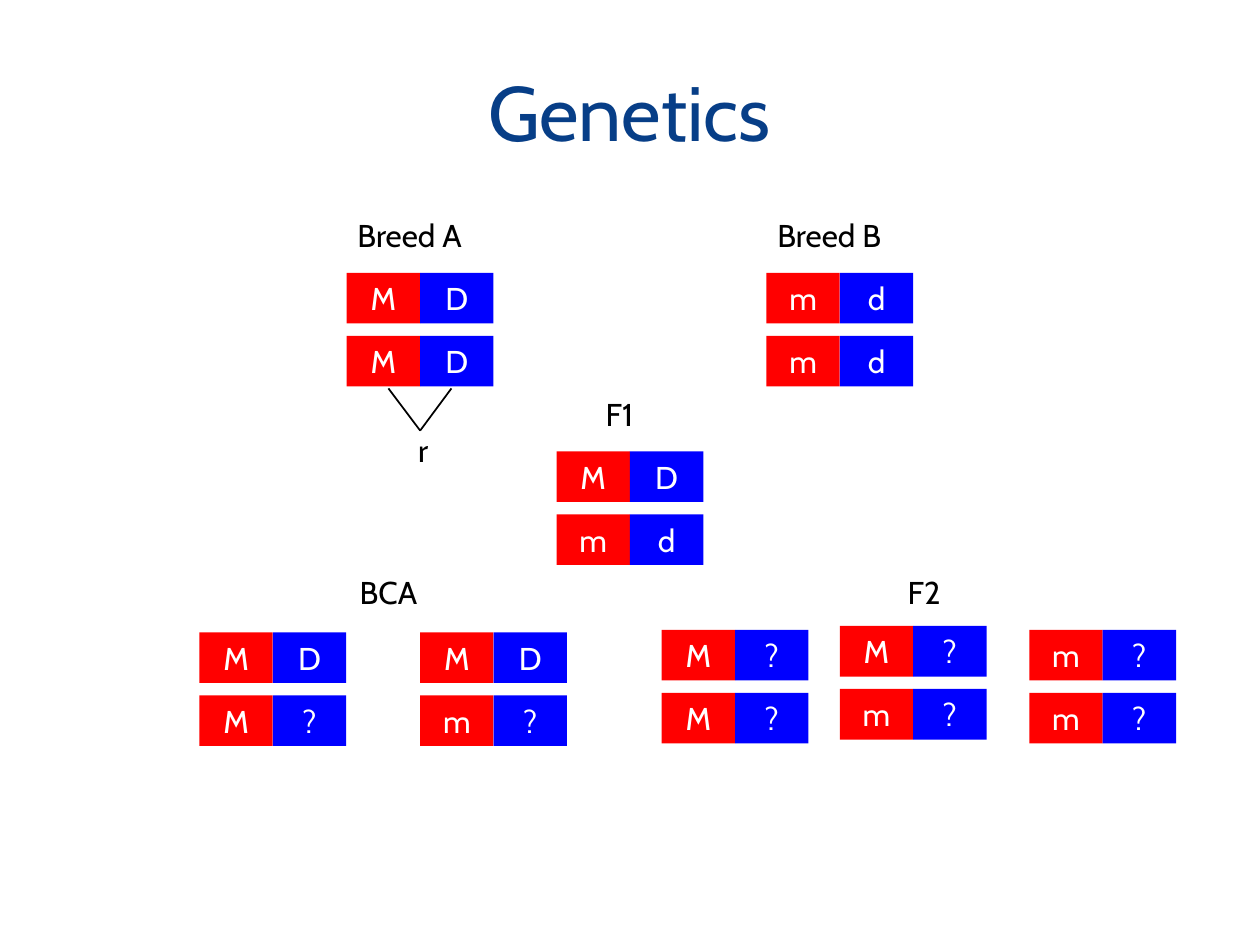
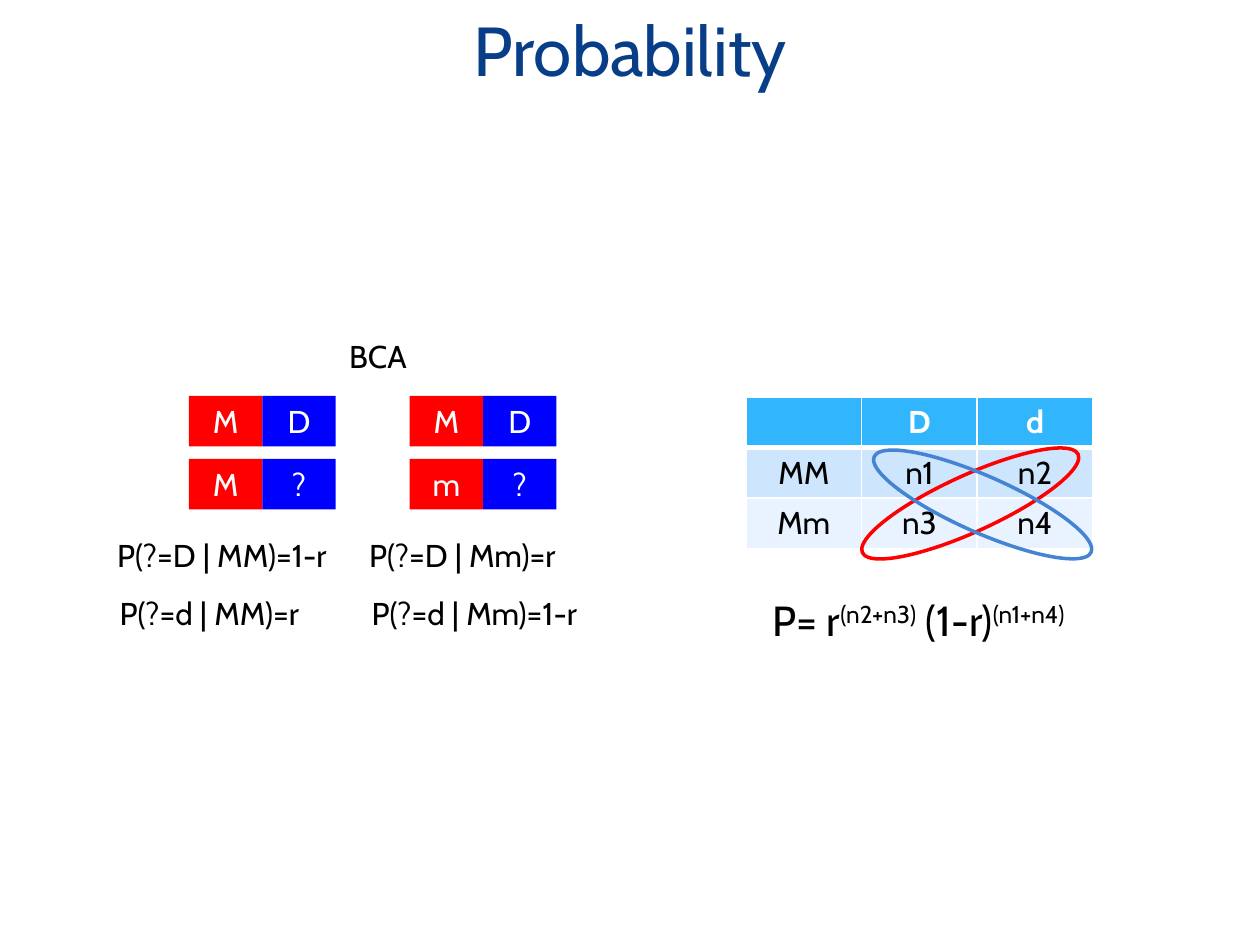
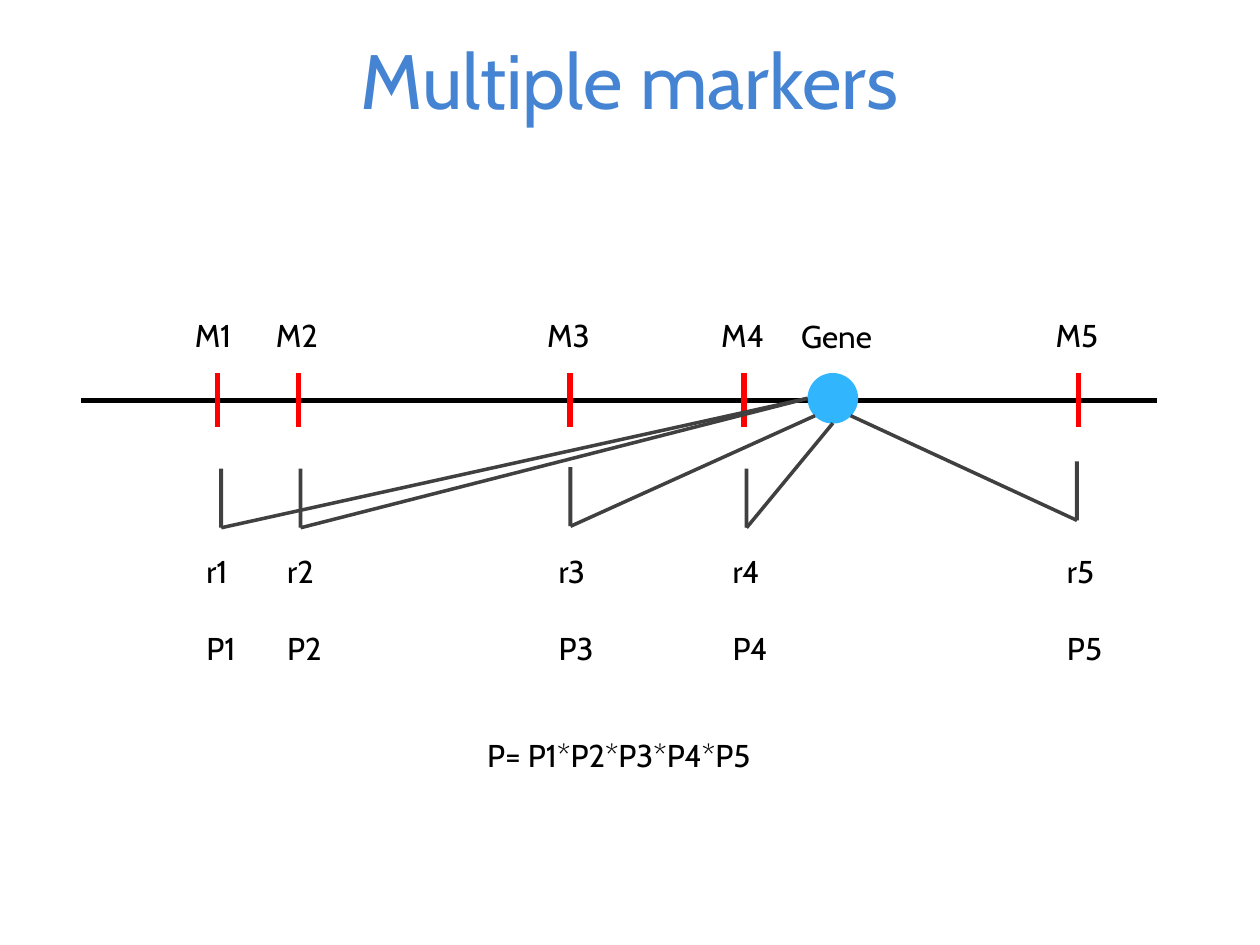
from pptx import Presentation
from pptx.dml.color import RGBColor
from pptx.enum.shapes import MSO_CONNECTOR, MSO_SHAPE
from pptx.enum.text import MSO_ANCHOR, MSO_AUTO_SIZE, PP_ALIGN
from pptx.oxml.ns import qn
from pptx.util import Cm, Pt
from lxml import etree

# Shared look
FONT = "Cabin"
BODY_SIZE = 18
NAVY, STEEL, SKY = "073E87", "4584D3", "31B6FD"
RED, BLUE, BLACK, WHITE, GREY = "FF0000", "0000FF", "000000", "FFFFFF", "404040"
ROW_FILLS = (SKY, "CEE5FE", "E8F3FF")

CENTER, LEFT = PP_ALIGN.CENTER, PP_ALIGN.LEFT
MIDDLE = MSO_ANCHOR.MIDDLE
FIT_TEXT = MSO_AUTO_SIZE.SHAPE_TO_FIT_TEXT
RECTANGLE, OVAL = MSO_SHAPE.RECTANGLE, MSO_SHAPE.OVAL
STRAIGHT = MSO_CONNECTOR.STRAIGHT

# Genotype blocks, in cm
ALLELE_WIDTH, ALLELE_HEIGHT, STRAND_PITCH = 1.48, 1.02, 1.27
LABEL_WIDTH, TEXT_HEIGHT = 2.96, 1.02


def color(hex_code):
    return RGBColor.from_string(hex_code)


def format_paragraph(paragraph, hex_code, size=BODY_SIZE, align=CENTER, bold=False):
    paragraph.alignment = align
    for run in paragraph.runs:
        run.font.name = FONT
        run.font.size = Pt(size)
        run.font.bold = bold
        run.font.color.rgb = color(hex_code)


def add_text(slide, text, left, top, width=LABEL_WIDTH, height=TEXT_HEIGHT,
             align=CENTER, wrap=True):
    box = slide.shapes.add_textbox(Cm(left), Cm(top), Cm(width), Cm(height))
    frame = box.text_frame
    frame.word_wrap = wrap
    frame.auto_size = FIT_TEXT
    frame.text = text
    format_paragraph(frame.paragraphs[0], BLACK, align=align)
    return box


def add_title(slide, text, left, top, width, height, hex_code=NAVY, size=44):
    box = slide.shapes.add_textbox(Cm(left), Cm(top), Cm(width), Cm(height))
    frame = box.text_frame
    frame.word_wrap = True
    frame.vertical_anchor = MIDDLE
    frame.text = text
    format_paragraph(frame.paragraphs[0], hex_code, size)


def add_shape(slide, kind, left, top, width, height, fill=None, line=None):
    shape = slide.shapes.add_shape(kind, Cm(left), Cm(top), Cm(width), Cm(height))
    shape.shadow.inherit = False
    if fill:
        shape.fill.solid()
        shape.fill.fore_color.rgb = color(fill)
    else:
        shape.fill.background()
    if line:
        shape.line.color.rgb = color(line)
        shape.line.width = Pt(2)
    else:
        shape.line.fill.background()
    return shape


def add_line(slide, start, end, hex_code, width):
    x1, y1, x2, y2 = (Cm(value) for value in (*start, *end))
    line = slide.shapes.add_connector(STRAIGHT, x1, y1, x2, y2)
    line.line.color.rgb = color(hex_code)
    line.line.width = Pt(width)
    etree.SubElement(line._element.spPr, qn("a:effectLst"))


def add_genotype(slide, strands, left, top, label=None):
    """Two strands, each with a red marker allele and a blue gene allele."""
    for row, strand in enumerate(strands):
        for column, (allele, fill) in enumerate(zip(strand, (RED, BLUE))):
            box = add_shape(slide, RECTANGLE, left + column * ALLELE_WIDTH,
                            top + row * STRAND_PITCH, ALLELE_WIDTH, ALLELE_HEIGHT, fill)
            frame = box.text_frame
            frame.vertical_anchor = MIDDLE
            frame.text = allele
            format_paragraph(frame.paragraphs[0], WHITE)
    if label:
        add_text(slide, label, left - 0.21, top - 1.27)


def add_backcross(slide, left, top):
    add_text(slide, "BCA", left + 2.33, top - 1.32)
    for column, strands in enumerate((("MD", "M?"), ("MD", "m?"))):
        add_genotype(slide, strands, left + column * 4.45, top)


def set_cell_borders(cell, bottom_width):
    properties = cell._tc.get_or_add_tcPr()
    for side, width in (("L", 1), ("R", 1), ("T", 1), ("B", bottom_width)):
        border = etree.SubElement(properties, qn(f"a:ln{side}"), w=str(Pt(width)))
        fill = etree.SubElement(border, qn("a:solidFill"))
        etree.SubElement(fill, qn("a:srgbClr"), val=WHITE)


def add_count_table(slide, rows, left, top, column_width, row_height):
    columns = len(rows[0])
    table = slide.shapes.add_table(len(rows), columns, Cm(left), Cm(top),
                                   Cm(column_width * columns),
                                   Cm(row_height * len(rows))).table
    for column in table.columns:
        column.width = Cm(column_width)
    for row_index, texts in enumerate(rows):
        is_header = row_index == 0
        for column_index, text in enumerate(texts):
            cell = table.cell(row_index, column_index)
            set_cell_borders(cell, 3 if is_header else 1)
            cell.fill.solid()
            cell.fill.fore_color.rgb = color(ROW_FILLS[row_index])
            cell.vertical_anchor = MIDDLE
            cell.text = text
            format_paragraph(cell.text_frame.paragraphs[0],
                             WHITE if is_header else BLACK, bold=is_header)


def add_likelihood(slide, left, top):
    box = add_text(slide, "P= r", left, top, 8.89, 1.27)
    paragraph = box.text_frame.paragraphs[0]
    for text in ("(n2+n3)", " (1-r)", "(n1+n4)"):
        run = paragraph.add_run()
        run.text = text
        if "n" in text:
            run._r.get_or_add_rPr().set("baseline", "30000")
    format_paragraph(paragraph, BLACK, 24)


def build_genetics(slide):
    add_title(slide, "Genetics", 0.84, 0.64, 23.7, 3.18)

    # Parents and first cross
    add_genotype(slide, ("MD", "MD"), 6.99, 5.5, "Breed A")
    add_genotype(slide, ("md", "md"), 15.45, 5.5, "Breed B")
    add_genotype(slide, ("MD", "md"), 11.22, 9.1, "F1")

    # Recombination between the two loci
    for locus_x in (7.83, 9.1):
        add_line(slide, (locus_x, 7.83), (8.47, 8.68), BLACK, 1)
    add_text(slide, "r", 8.18, 8.56, 0.71, align=LEFT, wrap=False)

    # Second generation
    add_backcross(slide, 4.02, 12.75)
    add_text(slide, "F2", 17.15, 11.43)
    for strands, left, top in ((("M?", "M?"), 13.34, 12.7),
                               (("M?", "m?"), 16.93, 12.62),
                               (("m?", "m?"), 20.75, 12.7)):
        add_genotype(slide, strands, left, top)


def build_probability(slide):
    add_title(slide, "Probability", 1.27, 0, 22.86, 1.98, size=39.6)

    # Backcross with its conditional probabilities
    add_backcross(slide, 3.81, 7.98)
    for text, left, top, width in (("P(?=D | MM)=1-r", 2.11, 10.69, 5.26),
                                   ("P(?=d | MM)=r", 2.16, 11.86, 4.6),
                                   ("P(?=D | Mm)=r", 7.19, 10.69, 4.7),
                                   ("P(?=d | Mm)=1-r", 7.24, 11.86, 5.16)):
        add_text(slide, text, left, top, width, align=LEFT, wrap=False)

    # Counts, likelihood and the paired diagonals
    counts = (("", "D", "d"), ("MM", "n1", "n2"), ("Mm", "n3", "n4"))
    add_count_table(slide, counts, 15.04, 8, 2.33, 1.02)
    add_likelihood(slide, 14.07, 11.86)
    for left, top, rotation, line in ((17.17, 9.58, 335.5, RED),
                                      (17.42, 9.6, 23.8, STEEL)):
        ring = add_shape(slide, OVAL, left, top, 4.78, 1.14, line=line)
        ring.rotation = rotation


def build_markers(slide):
    add_title(slide, "Multiple markers", 1.27, 0, 22.86, 3.18, STEEL)

    # Chromosome with marker ticks and the gene
    tick_positions = (4.39, 6.02, 11.49, 15, 21.74)
    add_line(slide, (1.63, 8.08), (23.32, 8.08), BLACK, 3)
    for number, x in enumerate(tick_positions, 1):
        add_line(slide, (x, 7.52), (x, 8.61), RED, 3)
        for prefix, offset, top in (("M", -0.71, 6.25), ("r", -0.48, 11),
                                    ("P", -0.48, 12.55)):
            add_text(slide, f"{prefix}{number}", x + offset, top, 1.42, align=LEFT)
    add_shape(slide, OVAL, 16.28, 7.52, 1.02, 1.02, SKY)
    add_text(slide, "Gene", 15.9, 6.27, 1.96, align=LEFT)

    # Brackets from the gene to each marker
    stem_width, stem_height = 0.08, 1.19
    for gene_point, left, top in (((16.28, 8.03), 4.42, 9.45),
                                  ((16.28, 8.03), 6.02, 9.45),
                                  ((16.43, 8.38), 11.46, 9.42),
                                  ((16.79, 8.53), 15.01, 9.45),
                                  ((17.15, 8.38), 21.67, 9.3)):
        stem_foot = (left + stem_width / 2, top + stem_height)
        add_line(slide, gene_point, stem_foot, GREY, 2)
        add_shape(slide, RECTANGLE, left, top, stem_width, stem_height, GREY)

    add_text(slide, "P= P1*P2*P3*P4*P5", 8.03, 14.71, 8.89)


def main():
    presentation = Presentation()
    presentation.slide_width = Cm(25.4)
    presentation.slide_height = Cm(19.05)
    blank_layout = presentation.slide_layouts[6]
    for build in (build_genetics, build_probability, build_markers):
        build(presentation.slides.add_slide(blank_layout))
    presentation.save("out.pptx")


if __name__ == "__main__":
    main()
